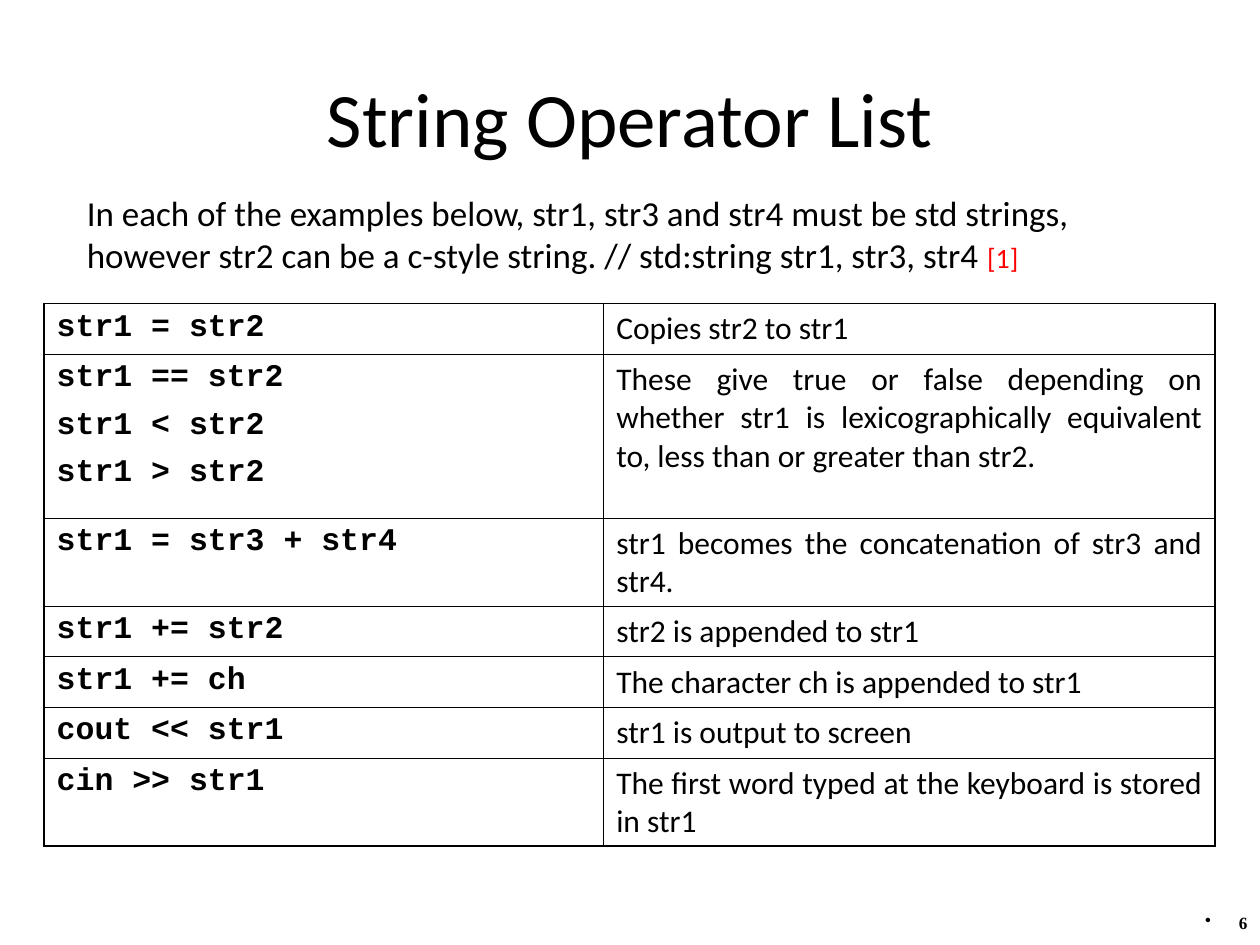
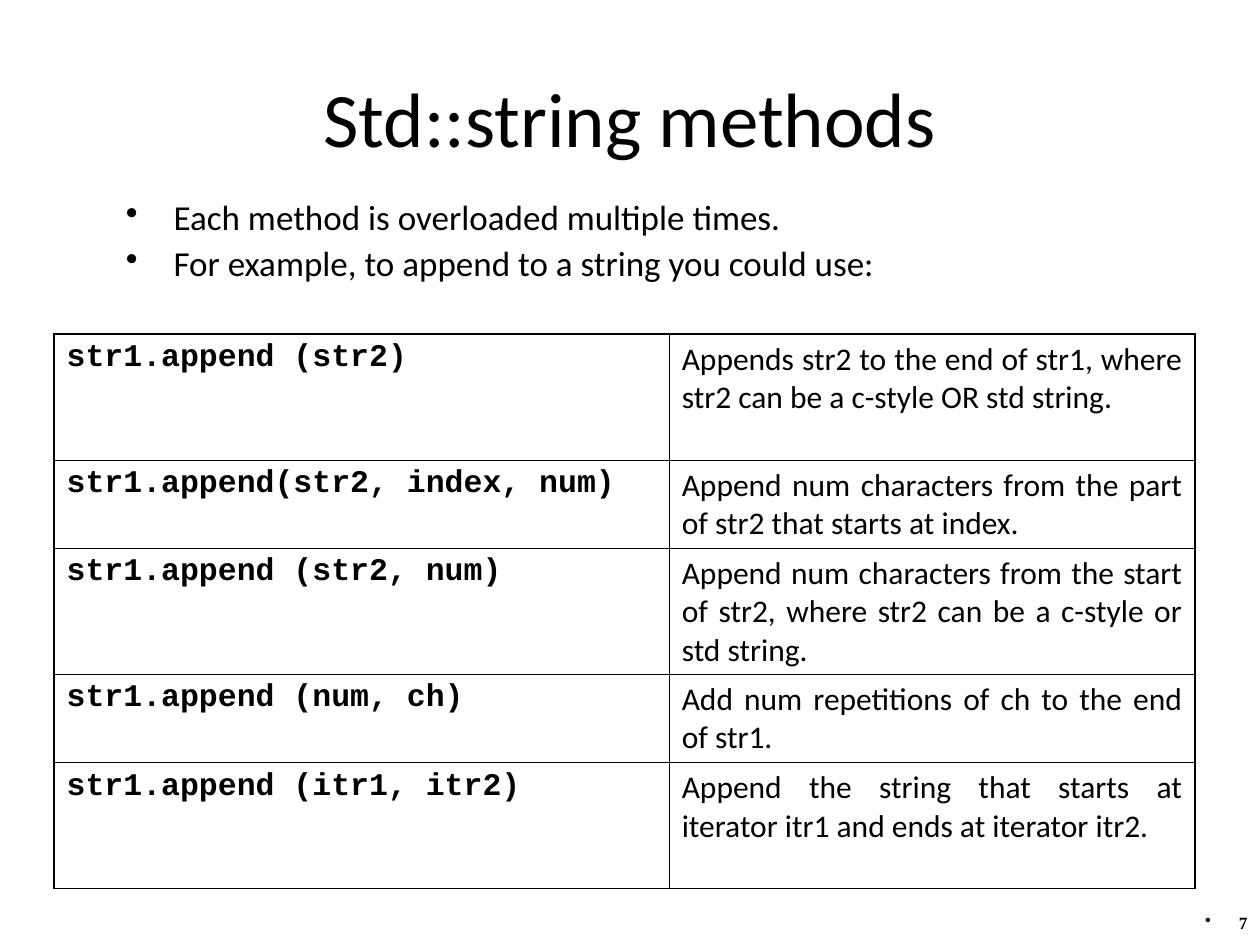
from dataclasses import dataclass

from lxml import etree
from pptx import Presentation
from pptx.dml.color import RGBColor
from pptx.enum.text import MSO_ANCHOR, PP_ALIGN
from pptx.oxml.ns import qn
from pptx.util import Cm, Pt

LEFT, CENTER, RIGHT, JUSTIFY = PP_ALIGN.LEFT, PP_ALIGN.CENTER, PP_ALIGN.RIGHT, PP_ALIGN.JUSTIFY
MIDDLE = MSO_ANCHOR.MIDDLE
TITLE_ONLY = 5


@dataclass(frozen=True)
class Theme:
    ink: str = "000000"
    reference: str = "FF0000"
    body_font: str = "Calibri"
    code_font: str = "Courier New"
    number_font: str = "Times New Roman"
    title_size: float = 44
    intro_size: float = 20
    reference_size: float = 16
    cell_size: float = 18
    number_size: float = 9.8
    outer_line: float = 1.08
    inner_line: float = 0.45


THEME = Theme()

SLIDES = [
    {
        "title": "String Operator List",
        "number": "6",
        "intro": ["In each of the examples below, str1, str3 and str4 must be std strings, "
                  "however str2 can be a c-style string. // std:string str1, str3, str4 "],
        "reference": "[1]",
        "intro_box": (1.5, 3.73, 22.4, 2.79),
        "bulleted": False,
        "table_at": (0.89, 6.12),
        "columns": (11.28, 12.32),
        "rows": [
            (1.02, "str1 = str2", "Copies str2 to str1"),
            (3.3, "str1 == str2\nstr1 < str2\nstr1 > str2",
             "These give true or false depending on whether str1 is lexicographically "
             "equivalent to, less than or greater than str2."),
            (1.78, "str1 = str3 + str4", "str1 becomes the concatenation of str3 and str4."),
            (1.02, "str1 += str2", "str2 is appended to str1"),
            (1.02, "str1 += ch", "The character ch is appended to str1"),
            (1.02, "cout << str1", "str1 is output to screen"),
            (1.78, "cin >> str1", "The first word typed at the keyboard is stored in str1"),
        ],
    },
    {
        "title": "Std::string methods",
        "number": "7",
        "intro": ["Each method is overloaded multiple times.",
                  "For example, to append to a string you could use:"],
        "reference": None,
        "intro_box": (2.29, 3.91, 21.59, 2.59),
        "bulleted": True,
        "table_at": (1.09, 6.73),
        "columns": (12.4, 10.6),
        "rows": [
            (2.54, "str1.append (str2)",
             "Appends str2 to the end of str1, where str2 can be a c-style OR std string."),
            (1.78, "str1.append(str2, index, num)",
             "Append num characters from the part of str2 that starts at index."),
            (2.54, "str1.append (str2, num)",
             "Append num characters from the start of str2, where str2 can be a c-style "
             "or std string."),
            (1.78, "str1.append (num, ch)", "Add num repetitions of ch to the end of str1."),
            (2.54, "str1.append (itr1, itr2)",
             "Append the string that starts at iterator itr1 and ends at iterator itr2."),
        ],
    },
]


def write(frame, lines, size, font=THEME.body_font, bold=False, align=LEFT,
          before=0, after=0, spacing=1.0, hanging=None):
    """Fill a text frame, one paragraph per line; hanging (cm) adds a bullet."""
    frame.word_wrap = True
    frame.text = "\n".join(lines)
    for paragraph in frame.paragraphs:
        paragraph.alignment = align
        paragraph.line_spacing = spacing
        paragraph.space_before, paragraph.space_after = Pt(before), Pt(after)
        if hanging:
            properties = paragraph._p.get_or_add_pPr()
            properties.set("marL", str(Cm(hanging)))
            properties.set("indent", str(-Cm(hanging)))
            colour = etree.SubElement(properties, qn("a:buClr"))
            etree.SubElement(colour, qn("a:srgbClr"), val=THEME.ink)
            etree.SubElement(properties, qn("a:buChar"), char="•")
        paragraph.font.name, paragraph.font.size = font, Pt(size)
        paragraph.font.bold = bold
        paragraph.font.color.rgb = RGBColor.from_string(THEME.ink)


def set_borders(cell, widths):
    """Draw the cell's left, right, top and bottom lines."""
    properties = cell._tc.get_or_add_tcPr()
    for position, (side, width) in enumerate(zip("LRTB", widths)):
        line = etree.Element(qn(f"a:ln{side}"), w=str(Pt(width)))
        fill = etree.SubElement(line, qn("a:solidFill"))
        etree.SubElement(fill, qn("a:srgbClr"), val=THEME.ink)
        properties.insert(position, line)


deck = Presentation()
deck.slide_width, deck.slide_height = Cm(25.4), Cm(19.05)

for content in SLIDES:
    slide = deck.slides.add_slide(deck.slide_layouts[TITLE_ONLY])

    # Title
    title = slide.shapes.title
    title.left, title.top, title.width, title.height = Cm(1.27), Cm(0.76), Cm(22.86), Cm(3.18)
    title.text_frame.vertical_anchor = MIDDLE
    write(title.text_frame, [content["title"]], THEME.title_size, align=CENTER)

    # Introduction
    intro = slide.shapes.add_textbox(*map(Cm, content["intro_box"])).text_frame
    if content["bulleted"]:
        write(intro, content["intro"], THEME.intro_size, before=5, spacing=0.9, hanging=0.96)
    else:
        write(intro, content["intro"], THEME.intro_size, before=10)
    if content["reference"]:
        reference = intro.paragraphs[-1].add_run()
        reference.text = content["reference"]
        reference.font.size = Pt(THEME.reference_size)
        reference.font.color.rgb = RGBColor.from_string(THEME.reference)

    # Code and its meaning
    rows, columns = content["rows"], content["columns"]
    left, top = content["table_at"]
    table = slide.shapes.add_table(
        len(rows), len(columns), Cm(left), Cm(top),
        Cm(sum(columns)), Cm(sum(row[0] for row in rows))).table
    table.first_row = table.horz_banding = False
    for column, width in zip(table.columns, columns):
        column.width = Cm(width)
    for r, (height, code, meaning) in enumerate(rows):
        table.rows[r].height = Cm(height)
        for c, text in enumerate((code, meaning)):
            cell = table.cell(r, c)
            cell.fill.background()
            is_code = c == 0
            write(cell.text_frame, text.split("\n"), THEME.cell_size,
                  font=THEME.code_font if is_code else THEME.body_font,
                  bold=is_code, align=JUSTIFY, before=4.5, after=2.2)
            on_edge = (c == 0, c == len(columns) - 1, r == 0, r == len(rows) - 1)
            set_borders(cell, [THEME.outer_line if edge else THEME.inner_line
                               for edge in on_edge])

    # Page number
    number = slide.shapes.add_textbox(Cm(23.77), Cm(18.34), Cm(1.63), Cm(0.71)).text_frame
    write(number, [content["number"]], THEME.number_size, font=THEME.number_font, bold=True,
          align=RIGHT, before=3.5, spacing=0.8, hanging=0.68)

deck.save("out.pptx")
